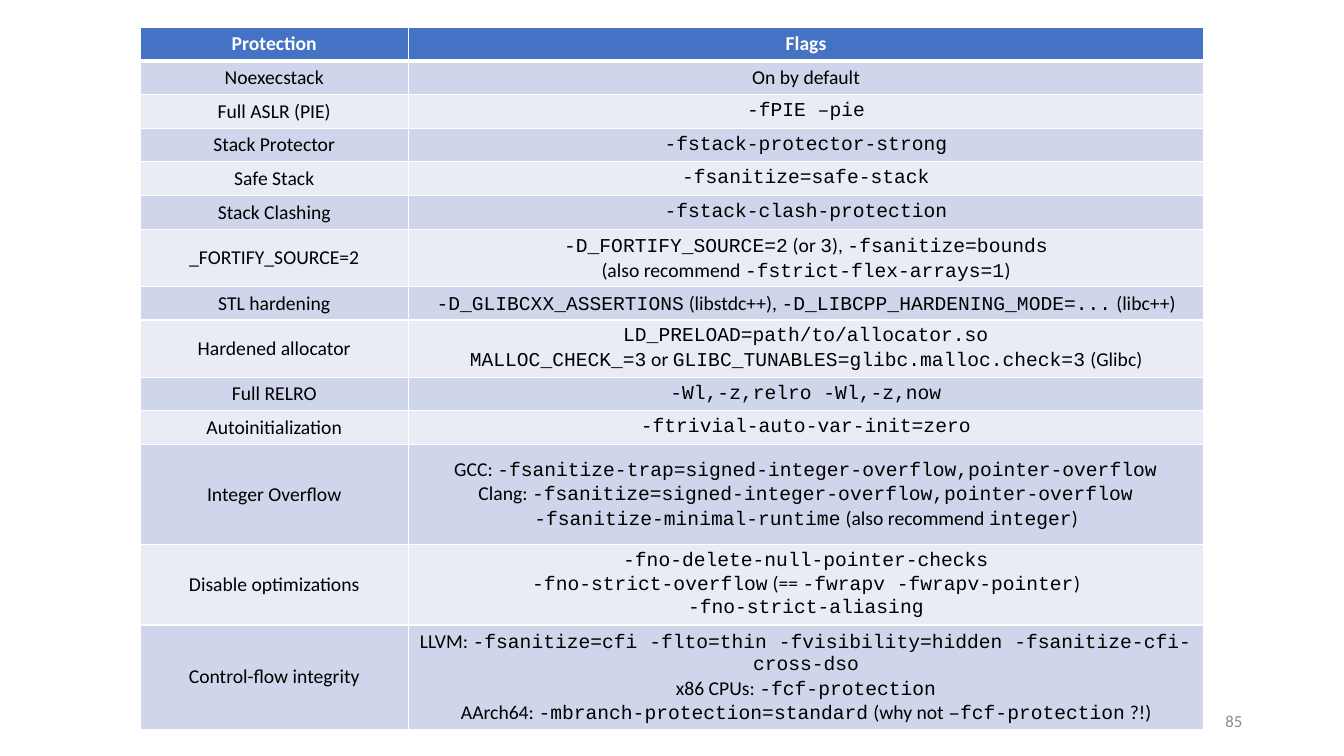
from dataclasses import dataclass

from lxml import etree
from pptx import Presentation, util as u
from pptx.dml.color import RGBColor
from pptx.enum import text
from pptx.oxml import ns


@dataclass(frozen=True)
class Theme:
    body_font: str = "Calibri"
    code_font: str = "Courier New"
    table_size: int = 14
    number_size: int = 12
    header: str = "4472C4"
    bands: tuple[str, str] = ("CFD5EA", "E9EBF5")
    white: str = "FFFFFF"
    ink: str = "000000"
    grey: str = "8C8C8C"
    thin: int = 1
    thick: int = 3


@dataclass(frozen=True)
class Mitigation:
    """One table row; backticks in flags enclose code."""
    protection: str
    flags: tuple[str, ...]
    height: float = 0.33


THEME = Theme()
COLUMN_WIDTHS = (2.66, 7.89)
HEADING = Mitigation("Protection", ("Flags",))
MITIGATIONS = (
    Mitigation("Noexecstack", ("On by default",)),
    Mitigation("Full ASLR (PIE)", ("`-fPIE –pie`",)),
    Mitigation("Stack Protector", ("`-fstack-protector-strong`",)),
    Mitigation("Safe Stack", ("`-fsanitize=safe-stack`",)),
    Mitigation("Stack Clashing", ("`-fstack-clash-protection`",)),
    Mitigation("_FORTIFY_SOURCE=2", (
        "`-D_FORTIFY_SOURCE=2` (or `3`), `-fsanitize=bounds`",
        "(also recommend `-fstrict-flex-arrays=1`)"), 0.56),
    Mitigation("STL hardening", (
        "`-D_GLIBCXX_ASSERTIONS` (libstdc++), "
        "`-D_LIBCPP_HARDENING_MODE=...` (libc++)",)),
    Mitigation("Hardened allocator", (
        "`LD_PRELOAD=path/to/allocator.so`",
        "`MALLOC_CHECK_=3` or `GLIBC_TUNABLES=glibc.malloc.check=3` (Glibc)"), 0.56),
    Mitigation("Full RELRO", ("`-Wl,-z,relro -Wl,-z,now`",)),
    Mitigation("Autoinitialization", ("`-ftrivial-auto-var-init=zero`",)),
    Mitigation("Integer Overflow", (
        "GCC: `-fsanitize-trap=signed-integer-overflow,pointer-overflow`",
        "Clang: `-fsanitize=signed-integer-overflow,pointer-overflow "
        "-fsanitize-minimal-runtime` (also recommend `integer`)"), 0.99),
    Mitigation("Disable optimizations", (
        "`-fno-delete-null-pointer-checks`",
        "`-fno-strict-overflow` (== `-fwrapv -fwrapv-pointer`)",
        "`-fno-strict-aliasing`"), 0.8),
    Mitigation("Control-flow integrity", (
        "LLVM: `-fsanitize=cfi -flto=thin -fvisibility=hidden "
        "-fsanitize-cfi-cross-dso`",
        "x86 CPUs: `-fcf-protection`",
        "AArch64: `-mbranch-protection=standard` (why not `–fcf-protection` ?!)"), 1.03),
)


def style_font(font, size: int, color: str, name: str, bold: bool = False) -> None:
    font.size = u.Pt(size)
    font.name = name
    font.bold = bold
    font.color.rgb = RGBColor.from_string(color)


def set_borders(cell, top: int, bottom: int) -> None:
    """Draw white borders; call before filling, as borders come first in tcPr."""
    properties = cell._tc.get_or_add_tcPr()
    widths = {"lnL": THEME.thin, "lnR": THEME.thin, "lnT": top, "lnB": bottom}
    for side, width in widths.items():
        border = etree.SubElement(properties, ns.qn(f"a:{side}"), w=str(u.Pt(width)))
        fill = etree.SubElement(border, ns.qn("a:solidFill"))
        etree.SubElement(fill, ns.qn("a:srgbClr"), val=THEME.white)


def write_cell(cell, lines: tuple[str, ...], color: str, bold: bool) -> None:
    cell.vertical_anchor = text.MSO_ANCHOR.MIDDLE
    frame = cell.text_frame
    frame.text = "\n".join(line.replace("`", "") for line in lines)
    for paragraph, line in zip(frame.paragraphs, lines):
        paragraph.alignment = text.PP_ALIGN.CENTER
        paragraph.clear()
        for index, part in enumerate(line.split("`")):
            if part:
                run = paragraph.add_run()
                run.text = part
                font_name = THEME.code_font if index % 2 else THEME.body_font
                style_font(run.font, THEME.table_size, color, font_name, bold)


def add_mitigation_table(slide) -> None:
    rows = (HEADING, *MITIGATIONS)
    table = slide.shapes.add_table(
        len(rows), len(COLUMN_WIDTHS), u.Inches(1.39), u.Inches(0.27),
        u.Inches(sum(COLUMN_WIDTHS)), u.Inches(sum(row.height for row in rows))).table
    for column, width in zip(table.columns, COLUMN_WIDTHS):
        column.width = u.Inches(width)
    for index, row in enumerate(rows):
        table.rows[index].height = u.Inches(row.height)
        is_heading = index == 0
        background = THEME.header if is_heading else THEME.bands[(index - 1) % 2]
        top = THEME.thick if index == 1 else THEME.thin
        bottom = THEME.thick if is_heading else THEME.thin
        for column, lines in enumerate(((row.protection,), row.flags)):
            cell = table.cell(index, column)
            set_borders(cell, top, bottom)
            cell.fill.solid()
            cell.fill.fore_color.rgb = RGBColor.from_string(background)
            write_cell(cell, lines, THEME.white if is_heading else THEME.ink, is_heading)


def add_slide_number(slide, number: str) -> None:
    frame = slide.shapes.add_textbox(
        u.Inches(9.42), u.Inches(6.95), u.Inches(3), u.Inches(0.4)).text_frame
    frame.word_wrap = True
    frame.vertical_anchor = text.MSO_ANCHOR.MIDDLE
    frame.text = number
    paragraph = frame.paragraphs[0]
    paragraph.alignment = text.PP_ALIGN.RIGHT
    style_font(paragraph.runs[0].font, THEME.number_size, THEME.grey, THEME.body_font)


def main() -> None:
    presentation = Presentation()
    presentation.slide_width = u.Inches(13.33)
    presentation.slide_height = u.Inches(7.5)
    slide = presentation.slides.add_slide(presentation.slide_layouts[6])
    add_slide_number(slide, "85")
    add_mitigation_table(slide)
    presentation.save("out.pptx")


if __name__ == "__main__":
    main()
